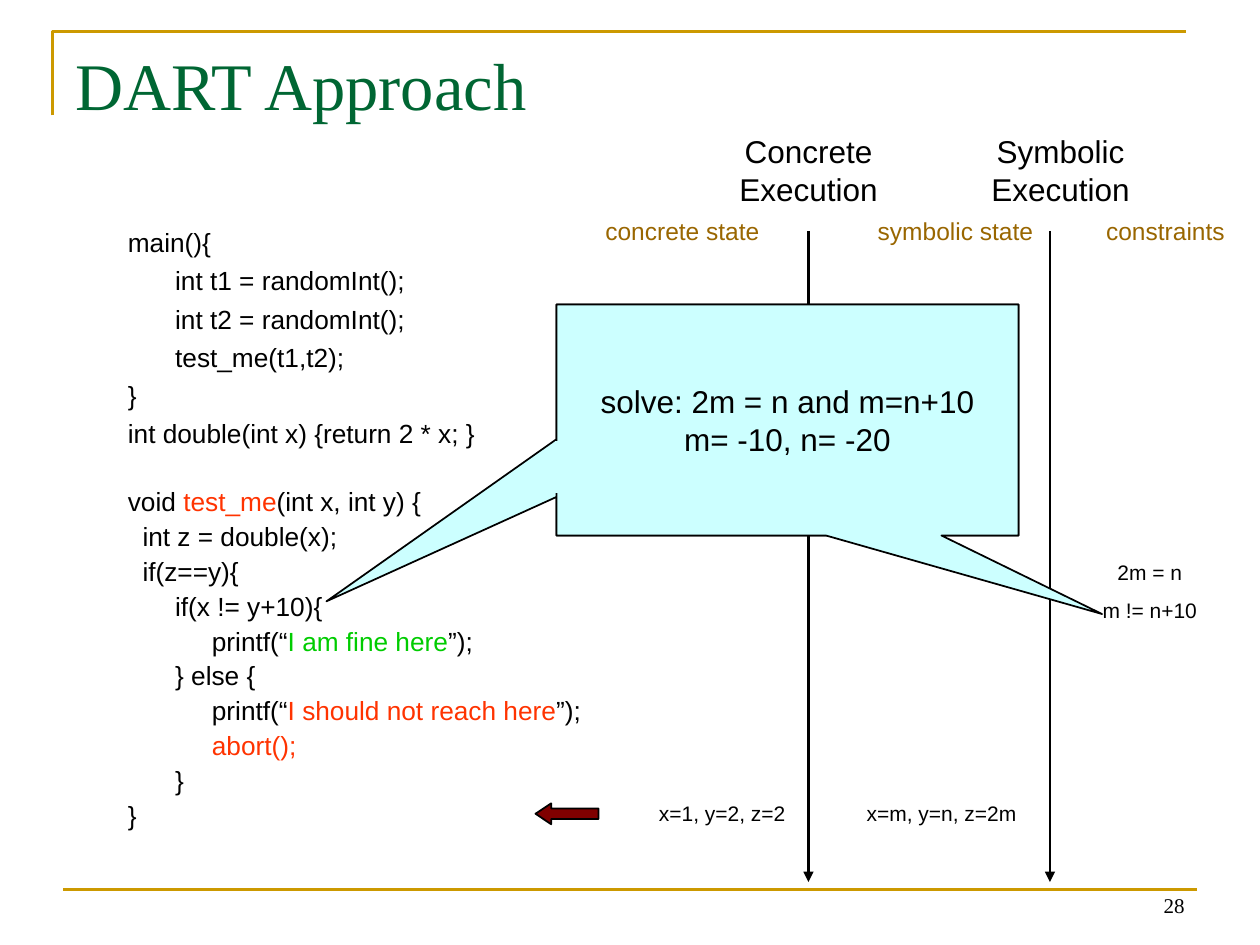
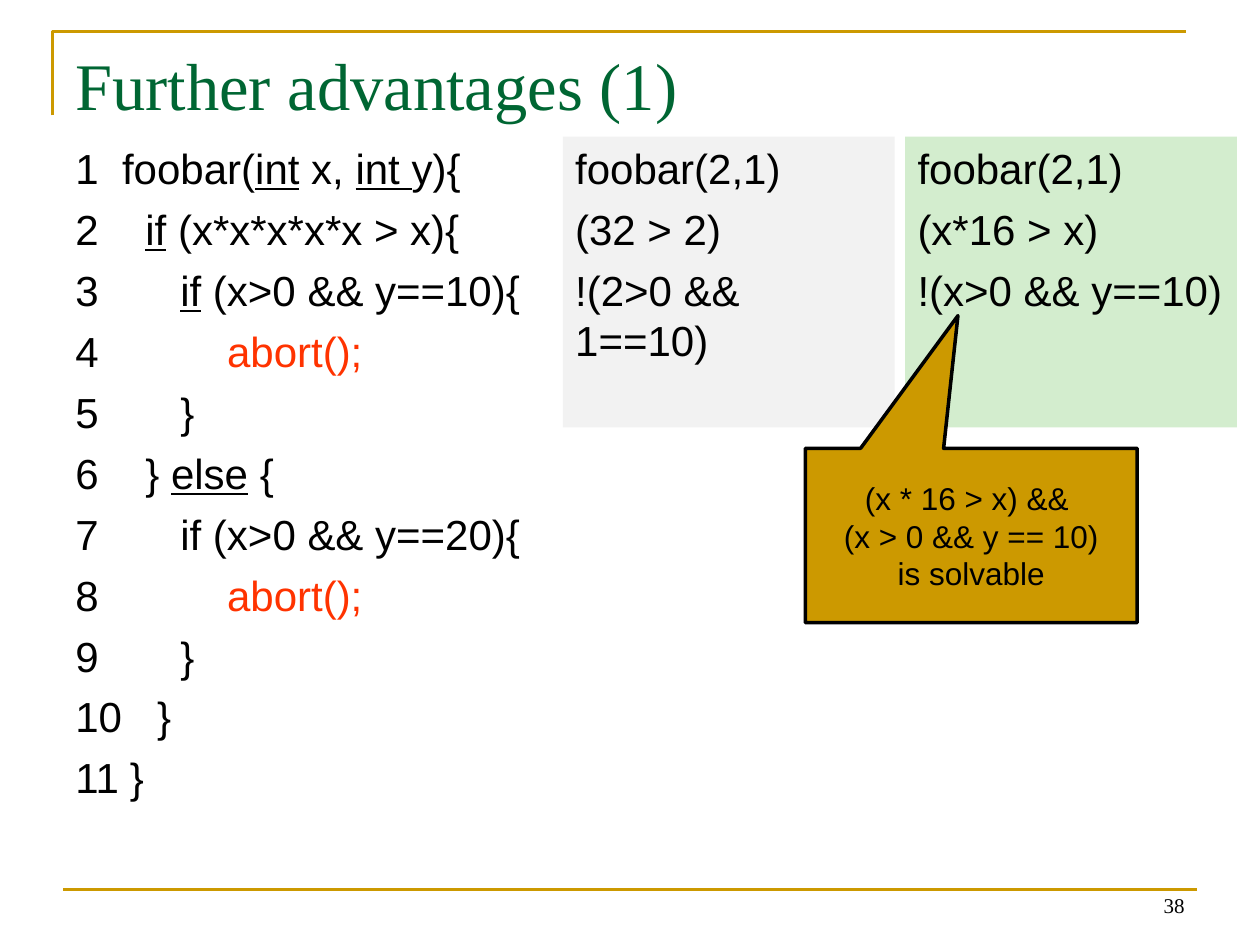
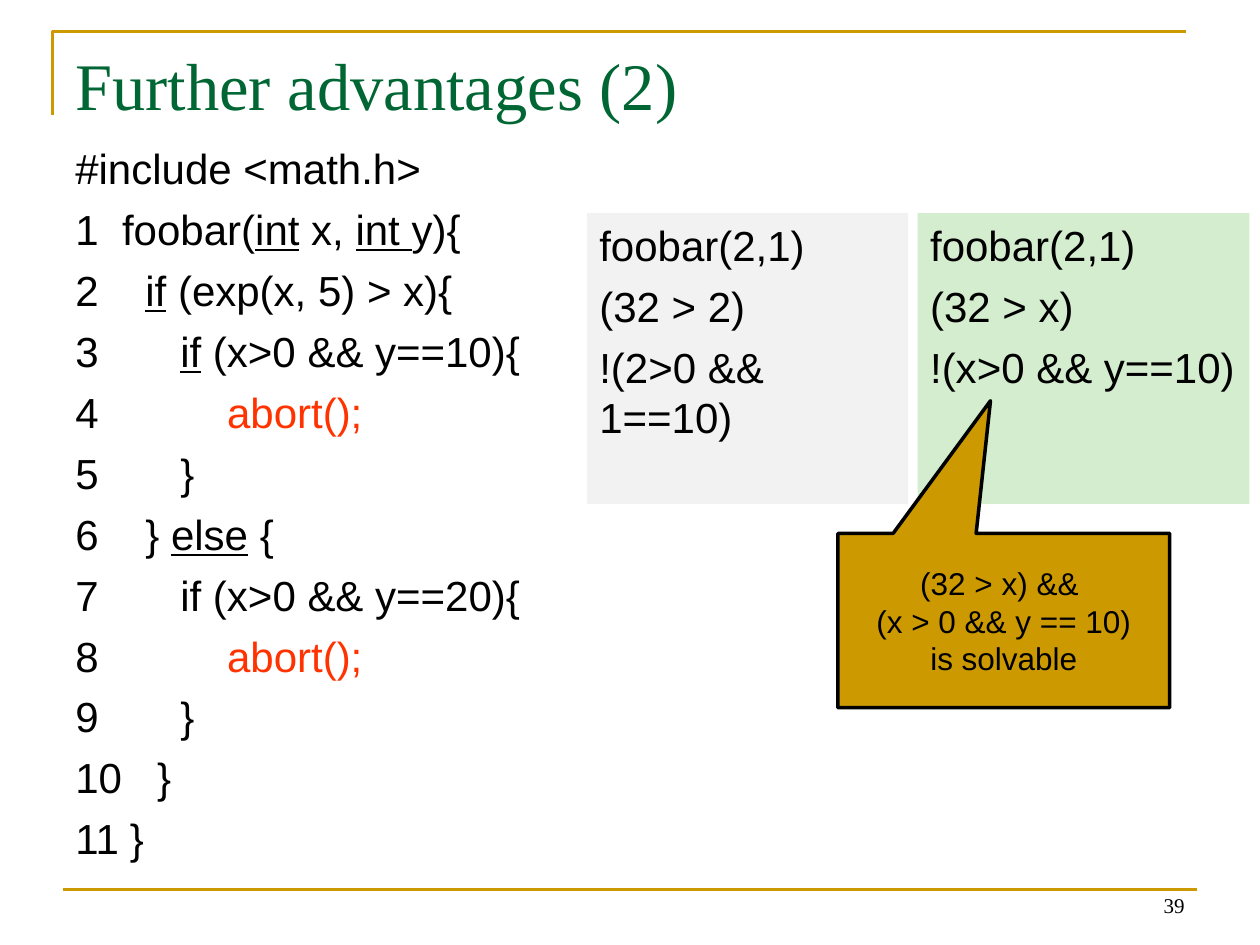
from lxml import etree
from pptx import Presentation
from pptx.dml.color import RGBColor
from pptx.enum.shapes import MSO_CONNECTOR, MSO_SHAPE
from pptx.enum.text import MSO_ANCHOR, PP_ALIGN
from pptx.oxml.ns import qn
from pptx.util import Inches, Pt

LEFT, CENTER, RIGHT = PP_ALIGN.LEFT, PP_ALIGN.CENTER, PP_ALIGN.RIGHT
TOP, MIDDLE, BOTTOM = MSO_ANCHOR.TOP, MSO_ANCHOR.MIDDLE, MSO_ANCHOR.BOTTOM
STRAIGHT = MSO_CONNECTOR.STRAIGHT
RECT, CALLOUT = MSO_SHAPE.RECTANGLE, MSO_SHAPE.RECTANGULAR_CALLOUT
LEFT_ARROW = MSO_SHAPE.LEFT_ARROW

COLS, ROWS = 120, 90
CELL = Inches(10) / COLS
SANS, SERIF = "Arial", "Times New Roman"
BLACK, GOLD, GREEN, BROWN = "000000", "CC9900", "006633", "996600"
RED, LIME, MAROON = "FF3300", "00CC00", "800000"
CYAN, MINT, GREY = "CCFFFF", "D3EDCE", "F2F2F2"
UNDERLINE = "underline"
BODY_GAP = 0.25


def grid(*cells):
    """Turn grid cells into slide lengths."""
    return [round(c * CELL) for c in cells]


def rgb(color):
    """Turn a hex string into a colour."""
    return RGBColor.from_string(color)


def add_run(p, text, size, font=SANS, color=BLACK, underline=False):
    """Add one formatted run."""
    r = p.add_run()
    r.text = text
    r.font.size = Pt(size)
    r.font.name = font
    r.font.color.rgb = rgb(color)
    if underline:
        r.font.underline = True


def fill_text(tf, lines, size, font=SANS, color=BLACK, align=LEFT,
              anchor=TOP, gap=0):
    """Write lines, each a string or a list of strings and (text, mark) pairs."""
    tf.word_wrap = True
    tf.vertical_anchor = anchor
    for i, line in enumerate(lines):
        p = tf.paragraphs[0] if i == 0 else tf.add_paragraph()
        p.alignment = align
        p.space_before = Pt(size * gap)
        for part in [line] if isinstance(line, str) else line:
            text, mark = (part, color) if isinstance(part, str) else part
            if text == "\n":
                p.add_line_break()
            elif mark == UNDERLINE:
                add_run(p, text, size, font, color, True)
            else:
                add_run(p, text, size, font, mark)
    return tf


def add_text(s, box, lines, size, **style):
    """Add a text box on the grid."""
    tb = s.shapes.add_textbox(*grid(*box))
    return fill_text(tb.text_frame, lines, size, **style)


def add_box(s, kind, box, fill, line=None, width=1, adjust=()):
    """Add a flat preset shape on the grid."""
    sp = s.shapes.add_shape(kind, *grid(*box))
    sp.shadow.inherit = False
    sp.fill.solid()
    sp.fill.fore_color.rgb = rgb(fill)
    if line:
        sp.line.color.rgb = rgb(line)
        sp.line.width = Pt(width)
    else:
        sp.line.fill.background()
    for i, value in enumerate(adjust):
        sp.adjustments[i] = value
    return sp


def add_line(s, ends, color, width=1.5, arrow=False):
    """Add a straight line, with an arrowhead at its end if wanted."""
    cx = s.shapes.add_connector(STRAIGHT, *grid(*ends))
    cx.line.color.rgb = rgb(color)
    cx.line.width = Pt(width)
    if arrow:
        ln = cx.line._get_or_add_ln()
        etree.SubElement(ln, qn("a:tailEnd"), type="triangle")
    etree.SubElement(cx._element.spPr, qn("a:effectLst"))


def indent(p, left, first=0):
    """Set the left margin and first-line indent in grid cells."""
    pPr = p._p.get_or_add_pPr()
    margin, start = grid(left, first)
    pPr.set("marL", str(margin))
    pPr.set("indent", str(start))


def add_frame(prs, title, number):
    """Start a slide with its corner, rule, number and title."""
    s = prs.slides.add_slide(prs.slide_layouts[6])
    left, top, right, bottom = grid(5, 3, 113, 11)
    fb = s.shapes.build_freeform(left, bottom)
    fb.add_line_segments([(left, top), (right, top)], close=False)
    corner = fb.convert_to_shape()
    corner.shadow.inherit = False
    corner.fill.background()
    corner.line.color.rgb = rgb(GOLD)
    corner.line.width = Pt(1.5)
    add_line(s, (6, 84.7, 114, 84.7), GOLD)
    add_text(s, (86, 82, 28, 6), [str(number)], 12, font=SERIF,
             align=RIGHT, anchor=BOTTOM)
    add_text(s, (6, 3.6, 108, 7.3), [title], 38, font=SERIF, color=GREEN)
    return s


def add_program(s, box):
    """Write the tested program, indented line by line."""
    program = [
        (0, ["main(){"]),
        (4.5, ["int t1 = randomInt();"]),
        (4.5, ["int t2 = randomInt();"]),
        (4.5, ["test_me(t1,t2);"]),
        (0, ["}"]),
        (0, ["int double(int x) {return 2 * x; }"]),
        (0, ["void ", ("test_me", RED), "(int x, int y) {"]),
        (1.4, ["int z = double(x);"]),
        (1.4, ["if(z==y){"]),
        (4.5, ["if(x != y+10){"]),
        (8, ["printf(“", ("I am fine here", LIME), "”);"]),
        (4.5, ["} else {"]),
        (8, ["printf(“", ("I should not reach here", RED), "”);"]),
        (8, [("abort();", RED)]),
        (4.5, ["}"]),
        (0, ["}"]),
    ]
    test_start = 6
    tf = add_text(s, box, [line for _, line in program], 15, gap=BODY_GAP)
    for i, (p, (left, _)) in enumerate(zip(tf.paragraphs, program)):
        indent(p, left)
        if i >= test_start:
            p.line_spacing = 0.9
    tf.paragraphs[test_start].space_before = Pt(23)


def add_executions(s, box):
    """Draw both execution timelines with their headings and states."""
    x, y, w, h = box
    for name, line_x, head_x in (("Concrete", 21, 11), ("Symbolic", 44, 35)):
        add_line(s, (x + line_x, y + 10, x + line_x, y + h), BLACK, arrow=True)
        add_text(s, (x + head_x, y, 20, 8.4), [f"{name} Execution"], 18,
                 align=CENTER)
    for name, left in (("concrete state", 0), ("symbolic state", 26),
                       ("constraints", w - 18)):
        add_text(s, (x + left, y + 8, 18, 4), [name], 14, color=BROWN,
                 align=CENTER)
    add_box(s, LEFT_ARROW, (x - 5, y + 64.5, 6, 2), MAROON, BLACK,
            adjust=(0.5, 0.75))
    for state, left, width in (("x=1, y=2, z=2", 1, 19),
                               ("x=m, y=n, z=2m", 25, 17)):
        add_text(s, (x + left, y + 63.7, width, 3.6), [state], 12, align=RIGHT)
    for i, constraint in enumerate(("2m = n", "m != n+10")):
        add_text(s, (x + 46, y + 40.7 + 3.6 * i, 15, 3.6), [constraint], 12,
                 align=CENTER)


def add_solution(s, box):
    """Draw the callout that points at both the branch and its constraint."""
    x, y, _, _ = box
    add_box(s, CALLOUT, box, CYAN, BLACK, adjust=(-0.998, 0.785))
    sp = add_box(s, CALLOUT, box, CYAN, BLACK, adjust=(0.681, 0.84))
    fill_text(sp.text_frame, ["solve: 2m = n and m=n+10", "m= -10, n= -20"],
              18, align=CENTER, anchor=MIDDLE)
    add_line(s, (x, y + 13, x, y + 18), CYAN, 2.25)


def add_listing(s, box, condition, header=()):
    """Write the numbered function, each line hanging at its own column."""
    abort, if_word = ("abort();", RED), ("if", UNDERLINE)
    code = [
        (4.45, ["foobar(", ("int", UNDERLINE), " x, ", ("int ", UNDERLINE),
                "y){"]),
        (6.67, [if_word, f" ({condition} > x){{"]),
        (10, [if_word, " (x>0 && y==10){"]),
        (14.45, [abort]),
        (10, ["}"]),
        (6.67, ["} ", ("else", UNDERLINE), " {"]),
        (10, ["if (x>0 && y==20){"]),
        (14.45, [abort]),
        (10, ["}"]),
        (7.78, ["}"]),
        (5.2, ["}"]),
    ]
    lines = [[f"{n}\t", *line] for n, (_, line) in enumerate(code, 1)]
    tf = add_text(s, box, [*header, *lines], 24, gap=BODY_GAP)
    for p, (left, _) in zip(tf.paragraphs[len(header):], code):
        indent(p, left, -left)


def add_panel(s, box, fill, condition, branch):
    """Draw a coloured panel with one run of the function."""
    sp = add_box(s, RECT, box, fill)
    fill_text(sp.text_frame, ["foobar(2,1)", f"({condition})", branch], 24,
              gap=BODY_GAP)


def add_verdict(s, box, condition):
    """Draw the callout with the solvable condition."""
    sp = add_box(s, CALLOUT, box, GOLD, BLACK, 2, (-0.04, -1.261))
    lines = [[f"({condition}) && ", "\n", "(x > 0 && y == 10)"], "is solvable"]
    fill_text(sp.text_frame, lines, 18, align=CENTER, anchor=MIDDLE)


def build_approach(prs):
    """Build the slide with the program and its two executions."""
    s = add_frame(prs, "DART Approach", 28)
    add_program(s, (11, 21, 51.5, 63))
    add_executions(s, (56, 12, 64, 72))
    add_solution(s, (53, 29, 44, 22))


def build_advantage(prs, part, number, code, symbolic, header, concrete_box,
                    symbolic_box, verdict_box):
    """Build a slide with the listing, two runs and the verdict."""
    s = add_frame(prs, f"Further advantages ({part})", number)
    add_listing(s, (6, 13, 53, 70), code, header)
    add_panel(s, symbolic_box, MINT, symbolic, "!(x>0 && y==10)")
    add_panel(s, concrete_box, GREY, "32 > 2", "!(2>0 && 1==10)")
    add_verdict(s, verdict_box, symbolic if part == 2 else "x * 16 > x")


def main():
    """Build and save the presentation."""
    prs = Presentation()
    prs.slide_width, prs.slide_height = grid(COLS, ROWS)
    build_approach(prs)
    build_advantage(prs, 1, 38, "x*x*x*x*x", "x*16 > x", [],
                    (53.6, 13, 31.6, 27.7), (86.2, 13, 31.6, 27.7),
                    (76.7, 42.7, 31.6, 16.6))
    build_advantage(prs, 2, 39, "exp(x, 5)", "32 > x", ["#include <math.h>"],
                    (55.9, 20.3, 30.6, 27.7), (87.4, 20.3, 31.6, 27.7),
                    (79.8, 50.8, 31.6, 16.6))
    prs.save("out.pptx")


if __name__ == "__main__":
    main()
